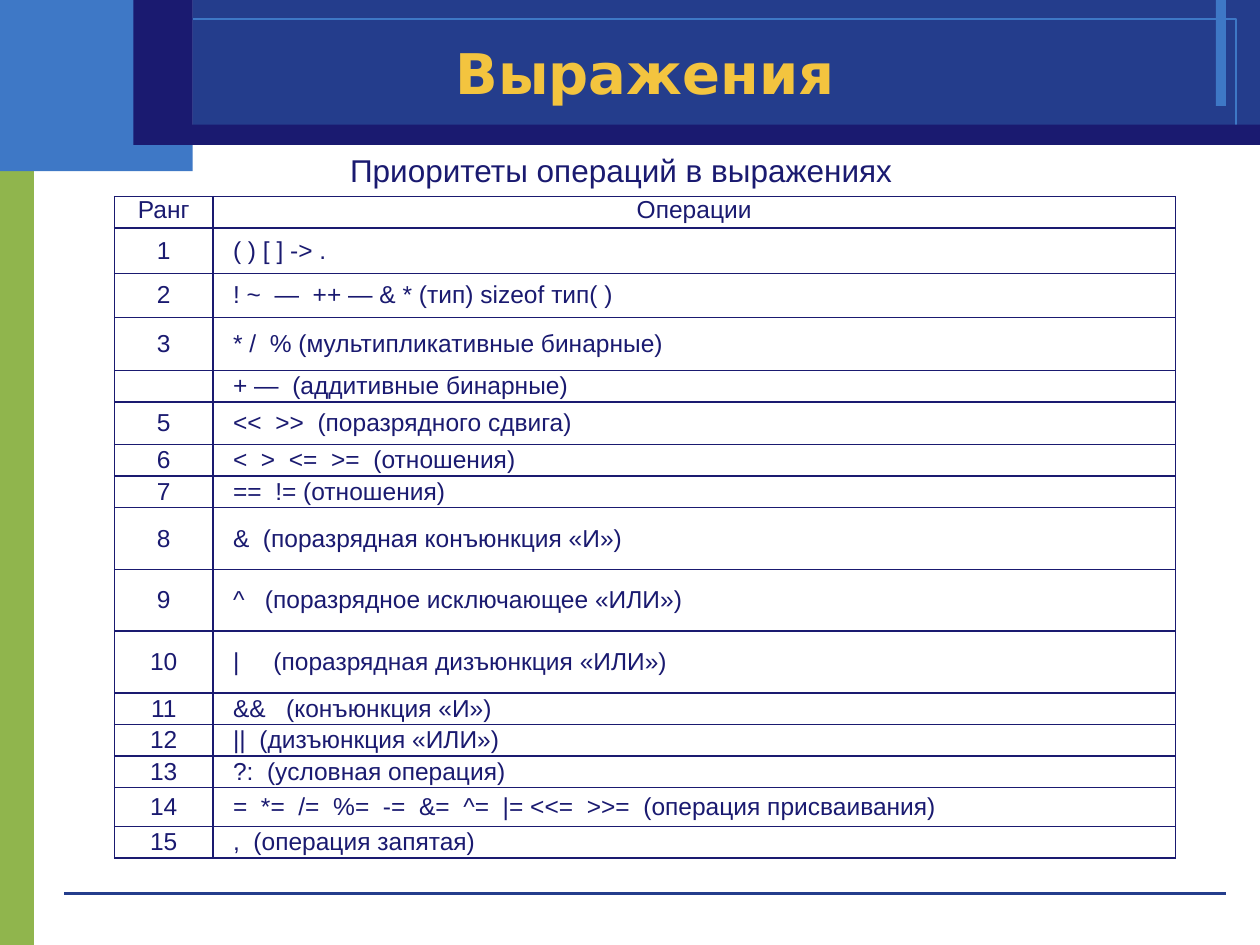
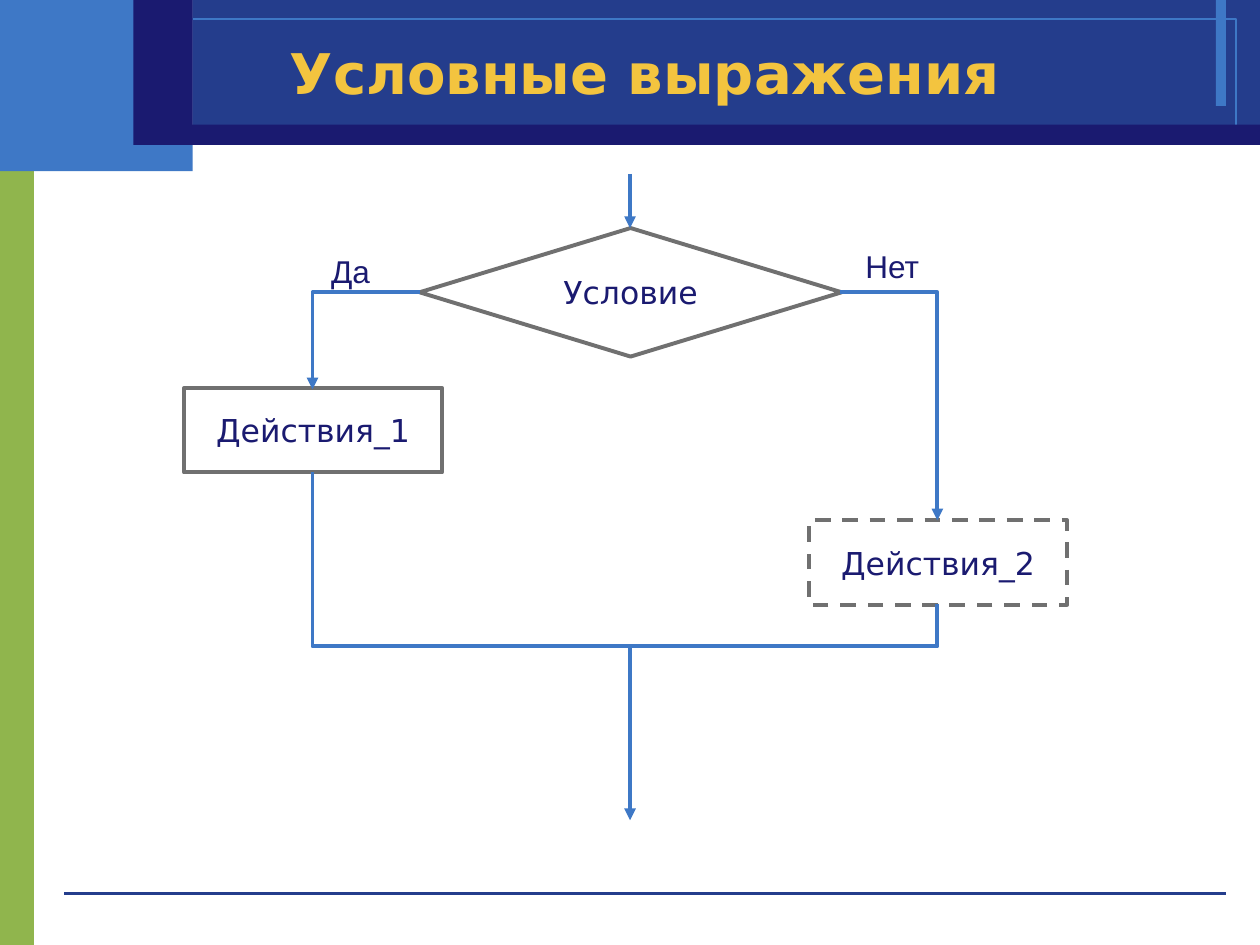
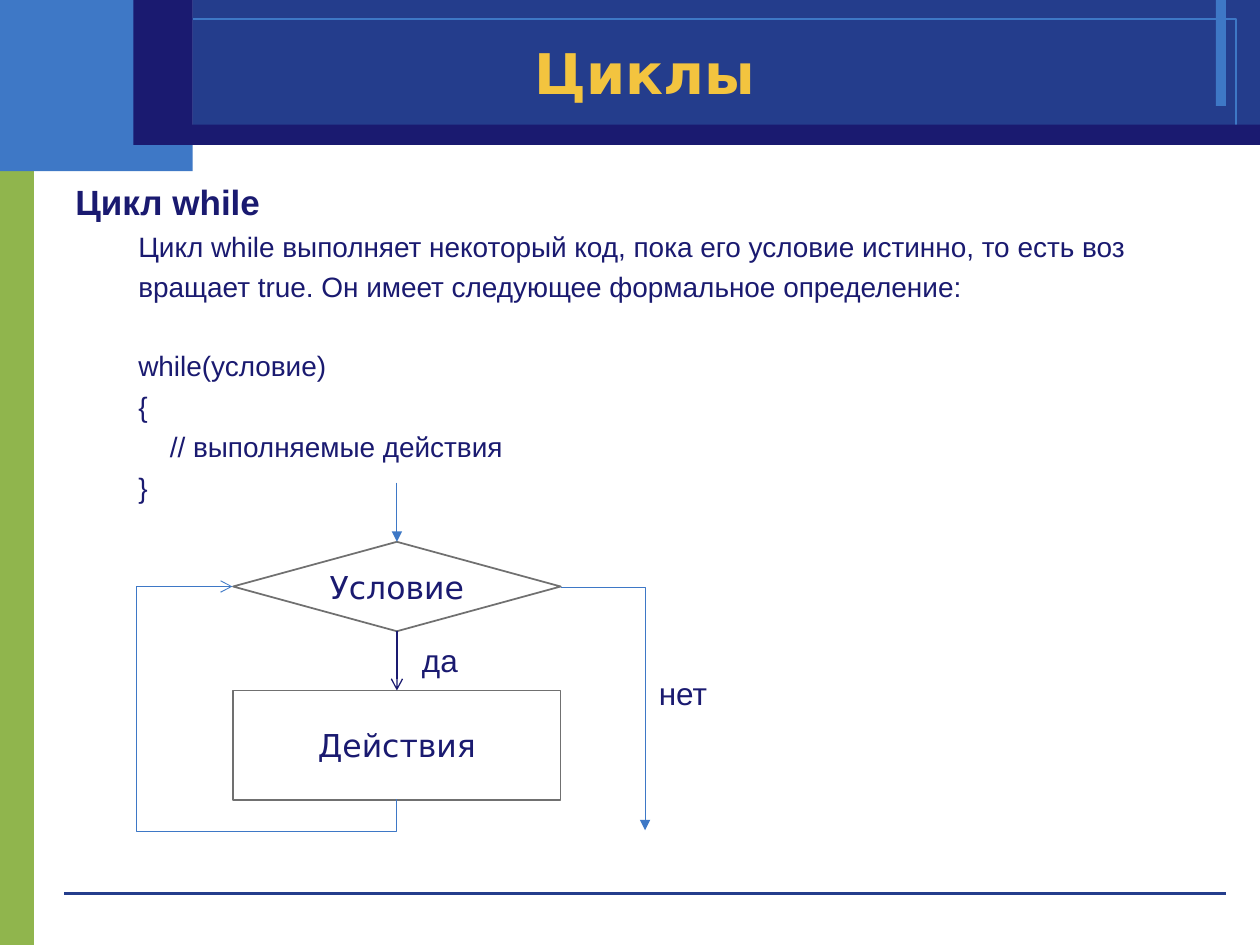
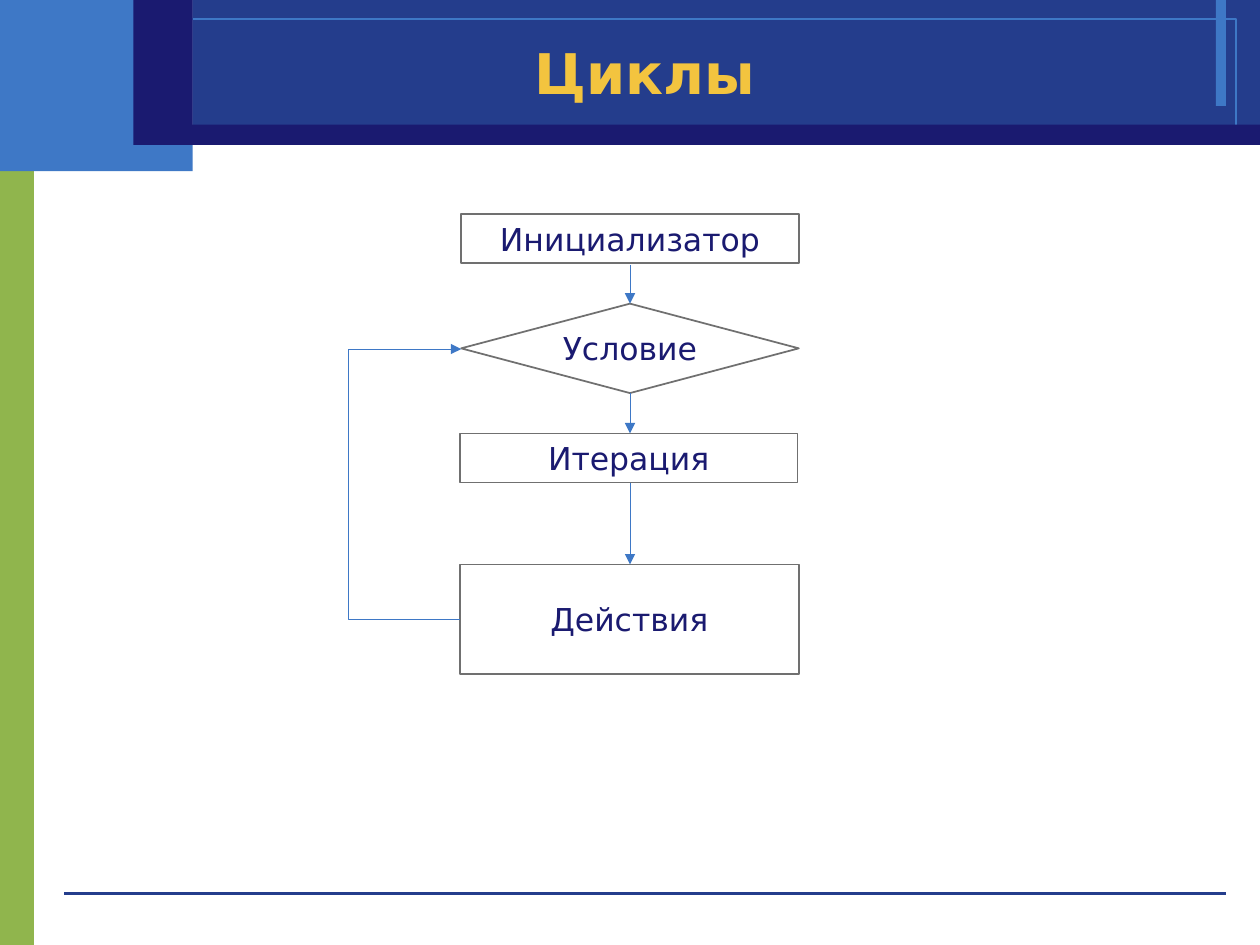
from lxml.etree import SubElement
from pptx import Presentation
from pptx.dml.color import RGBColor
from pptx.enum.dml import MSO_LINE
from pptx.enum.shapes import MSO_CONNECTOR, MSO_SHAPE
from pptx.enum.text import MSO_ANCHOR, MSO_AUTO_SIZE, PP_ALIGN
from pptx.oxml.ns import qn
from pptx.util import Emu, Pt

PX = 9144  # one px is a hundredth of an inch
TITLE_ONLY = 5
BODY_FONT, HEAD_FONT = "Arial", "DejaVu Sans"
COLORS = {
    "white": "FFFFFF",
    "navy": "1A1A70",
    "blue": "243D8C",
    "sky": "3E78C6",
    "green": "90B54D",
    "gold": "F3C43F",
    "gray": "707070",
}


def px(length):
    return Emu(length * PX)


def rgb(name):
    return RGBColor.from_string(COLORS[name])


def write(para, text, size=18, font=BODY_FONT, color="navy", bold=False,
          align=None, indent=0, before=0):
    """Put formatted text into a paragraph."""
    para.alignment = align
    para.space_before = Pt(before)
    if indent:
        properties = para._p.get_or_add_pPr()
        properties.set("marL", str(px(indent)))
        properties.set("indent", "0")
    if not text:
        SubElement(para._p, qn("a:endParaRPr"), sz=str(size * 100))
        return
    span = para.add_run()
    span.text = text
    span.font.size = Pt(size)
    span.font.name = font
    span.font.bold = bold
    span.font.color.rgb = rgb(color)


class Painter:
    """Holds the deck, its style and the current slide."""

    def __init__(self):
        self.deck = Presentation()
        self.deck.slide_width, self.deck.slide_height = px(1000), px(750)
        self.layout = self.deck.slide_layouts[TITLE_ONLY]
        self.slide = None

    def new_slide(self, title):
        first = self.slide is None
        self.slide = self.deck.slides.add_slide(self.layout)
        if first:
            self.share_bands()
        holder = self.slide.shapes.title
        holder.left, holder.top, holder.width, holder.height = map(px, (82, 26, 860, 62))
        frame = holder.text_frame
        frame.auto_size = MSO_AUTO_SIZE.NONE
        frame.vertical_anchor = MSO_ANCHOR.MIDDLE
        write(frame.paragraphs[0], title, size=32, font=HEAD_FONT, color="gold",
              bold=True, align=PP_ALIGN.CENTER)

    def share_bands(self):
        """Draw the common bands and move them to the layout."""
        bands = [
            self.shape(0, 107, 27, 643, fill="green"),
            self.shape(0, 0, 153, 136, fill="sky"),
            self.shape(153, 0, 847, 115, fill="blue"),
            self.shape(965, 0, 8, 84, fill="sky"),
            self.shape(20, 15, 961, 85, fill=None, line="sky", weight=0),
            self.line(51, 709, 973, 709, color="blue", weight=0, head=None),
            self.shape(130, 99, 870, 16, fill="navy"),
            self.shape(106, 0, 47, 115, fill="navy"),
        ]
        tree = self.layout.shapes.element
        for number, band in enumerate(bands):
            band.element.xpath(".//p:cNvPr")[0].set("id", str(100 + number))
            tree.insert(2 + number, band.element)

    def shape(self, left, top, width, height, kind=MSO_SHAPE.RECTANGLE,
              fill="white", line=None, weight=1, dash=None):
        box = self.slide.shapes.add_shape(kind, px(left), px(top), px(width), px(height))
        box.shadow.inherit = False
        if fill:
            box.fill.solid()
            box.fill.fore_color.rgb = rgb(fill)
        else:
            box.fill.background()
        if line:
            box.line.color.rgb = rgb(line)
            box.line.width = Pt(weight)
            if dash:
                box.line.dash_style = dash
        else:
            box.line.fill.background()
        return box

    def block(self, text, *place, **style):
        """A framed flowchart block with centred text."""
        box = self.shape(*place, line="gray", **style)
        frame = box.text_frame
        frame.word_wrap = True
        frame.vertical_anchor = MSO_ANCHOR.MIDDLE
        write(frame.paragraphs[0], text, font=HEAD_FONT, align=PP_ALIGN.CENTER)

    def decision(self, text, *place, **style):
        self.block(text, *place, kind=MSO_SHAPE.DIAMOND, **style)

    def text(self, left, top, width, height, lines, wrap=True, anchor=MSO_ANCHOR.TOP,
             fit=MSO_AUTO_SIZE.SHAPE_TO_FIT_TEXT):
        """A text box; lines holds pairs of text and format."""
        box = self.slide.shapes.add_textbox(px(left), px(top), px(width), px(height))
        frame = box.text_frame
        frame.word_wrap = wrap
        frame.auto_size = fit
        frame.vertical_anchor = anchor
        for number, (text, style) in enumerate(lines):
            para = frame.add_paragraph() if number else frame.paragraphs[0]
            write(para, text, **style)

    def line(self, x1, y1, x2, y2, color="sky", weight=0.5, head="triangle",
             kind=MSO_CONNECTOR.STRAIGHT):
        line = self.slide.shapes.add_connector(kind, px(x1), px(y1), px(x2), px(y2))
        line.line.color.rgb = rgb(color)
        line.line.width = Pt(weight)
        properties = line.element.spPr
        if head:
            SubElement(properties.find(qn("a:ln")), qn("a:tailEnd"), type=head)
        SubElement(properties, qn("a:effectLst"))
        return line

    def elbow(self, left, top, width, height, bends=1, turn=0, flip=None,
              adjust=(), **style):
        """A bent line: its frame before rotation, the turn in degrees and the flip."""
        line = self.line(left, top, left + width, top + height,
                         kind=MSO_CONNECTOR.ELBOW, **style)
        frame = line.element.spPr.find(qn("a:xfrm"))
        frame.set("rot", str(turn * 60000))
        if flip:
            frame.set(flip, "1")
        outline = line.element.spPr.find(qn("a:prstGeom"))
        outline.set("prst", f"bentConnector{bends + 1}")
        guides = outline.find(qn("a:avLst"))
        if guides is None:
            guides = SubElement(outline, qn("a:avLst"))
        for number, share in enumerate(adjust, 1):
            SubElement(guides, qn("a:gd"), name=f"adj{number}",
                       fmla=f"val {round(share * 100000)}")

    def table(self, left, top, widths, heights, rows):
        table = self.slide.shapes.add_table(
            len(rows), len(widths), px(left), px(top),
            px(sum(widths)), px(sum(heights))).table
        table.first_row = table.horz_banding = False
        for column, width in zip(table.columns, widths):
            column.width = px(width)
        for index, (row, height) in enumerate(zip(rows, heights)):
            table.rows[index].height = px(height)
            for place, text in enumerate(row):
                centred = index == 0 or place == 0
                cell = table.cell(index, place)
                self.cell_frame(cell)
                cell.vertical_anchor = MSO_ANCHOR.MIDDLE if index else MSO_ANCHOR.TOP
                write(cell.text_frame.paragraphs[0], text, size=14,
                      align=PP_ALIGN.CENTER if centred else None,
                      indent=0 if centred else 16)

    def cell_frame(self, cell):
        cell.margin_left = cell.margin_right = cell.margin_top = cell.margin_bottom = 0
        properties = cell._tc.get_or_add_tcPr()
        for side in ("lnL", "lnR", "lnT", "lnB"):
            border = SubElement(properties, qn(f"a:{side}"), w=str(Pt(1)))
            fill = SubElement(border, qn("a:solidFill"))
            SubElement(fill, qn("a:srgbClr"), val=COLORS["navy"])
        cell.fill.background()


def operations_slide(painter):
    painter.new_slide("Выражения")
    painter.text(268, 115, 488, 40, [("Приоритеты операций в выражениях", {})],
                 anchor=MSO_ANCHOR.MIDDLE)
    rows = [
        ("Ранг", "Операции"),
        ("1", "( ) [ ] -> ."),
        ("2", "! ~  —  ++ — & * (тип) sizeof тип( )"),
        ("3", "* /  % (мультипликативные бинарные)"),
        ("", "+ —  (аддитивные бинарные)"),
        ("5", "<<  >>  (поразрядного сдвига)"),
        ("6", "<  >  <=  >=  (отношения)"),
        ("7", "==  != (отношения)"),
        ("8", "&  (поразрядная конъюнкция «И»)"),
        ("9", "^   (поразрядное исключающее «ИЛИ»)"),
        ("10", "|     (поразрядная дизъюнкция «ИЛИ»)"),
        ("11", "&&   (конъюнкция «И»)"),
        ("12", "||  (дизъюнкция «ИЛИ»)"),
        ("13", "?:  (условная операция)"),
        ("14", "=  *=  /=  %=  -=  &=  ^=  |= <<=  >>=  (операция присваивания)"),
        ("15", ",  (операция запятая)"),
    ]
    heights = [25, 36, 35, 42, 25, 34, 25, 25, 49, 49, 49, 25, 25, 25, 31, 25]
    painter.table(91, 156, [78, 764], heights, rows)


def condition_slide(painter):
    painter.new_slide("Условные выражения")
    bold = {"weight": 2.25}
    # Blocks
    painter.decision("Условие", 333, 181, 335, 102, **bold)
    painter.block("Действия_1", 146, 308, 205, 67, **bold)
    painter.block("Действия_2", 642, 413, 205, 67, dash=MSO_LINE.DASH, **bold)
    # Branches
    painter.elbow(248, 232, 85, 77, turn=180, flip="flipV", **bold)
    painter.elbow(667, 232, 77, 181, **bold)
    painter.elbow(236, 387, 276, 252, bends=2, turn=270, flip="flipH", **bold)
    painter.text(253, 195, 68, 40, [("Да", {})])
    painter.text(677, 191, 68, 40, [("Нет", {})])
    painter.line(500, 138, 500, 181, **bold)
    painter.elbow(605, 374, 34, 244, turn=90, head=None, **bold)


def while_slide(painter):
    painter.new_slide("Циклы")
    # Definition
    code = {"size": 16, "indent": 50, "before": 4}
    painter.text(50, 138, 900, 574, [
        ("Цикл while", {"size": 20, "bold": True, "before": 2}),
        ("Цикл while выполняет некоторый код, пока его условие истинно, то есть воз", code),
        ("вращает true. Он имеет следующее формальное определение:", code),
        ("while(условие)", {**code, "before": 26}),
        ("{", code),
        ("// выполняемые действия", {**code, "indent": 75}),
        ("}", code),
    ], fit=MSO_AUTO_SIZE.NONE)
    # Flowchart
    painter.decision("Условие", 185, 430, 260, 71)
    painter.block("Действия", 185, 548, 260, 87)
    painter.line(315, 501, 315, 548, color="navy", weight=0.75, head="arrow")
    painter.text(325, 504, 49, 40, [("да", {})], wrap=False)
    painter.elbow(165, 485, 169, 130, bends=3, turn=90, flip="flipH",
                  adjust=(-0.148, 1.585), head="arrow")
    painter.elbow(445, 466, 67, 193)
    painter.text(513, 530, 59, 40, [("нет", {})], wrap=False)
    painter.line(315, 383, 315, 430)


def iteration_slide(painter):
    painter.new_slide("Циклы")
    # Blocks
    painter.block("Инициализатор", 366, 170, 268, 39)
    painter.decision("Условие", 366, 241, 268, 71)
    painter.block("Итерация", 365, 344, 268, 39)
    painter.block("Действия", 365, 448, 269, 87)
    # Arrows
    for start, end in ((210, 241), (312, 344), (383, 448)):
        painter.line(500, start, 500, end)
    painter.elbow(365, 277, 1, 215, bends=2, turn=180, flip="flipH", adjust=(-90,))


def main():
    painter = Painter()
    for build in (operations_slide, condition_slide, while_slide, iteration_slide):
        build(painter)
    painter.deck.save("out.pptx")


if __name__ == "__main__":
    main()
